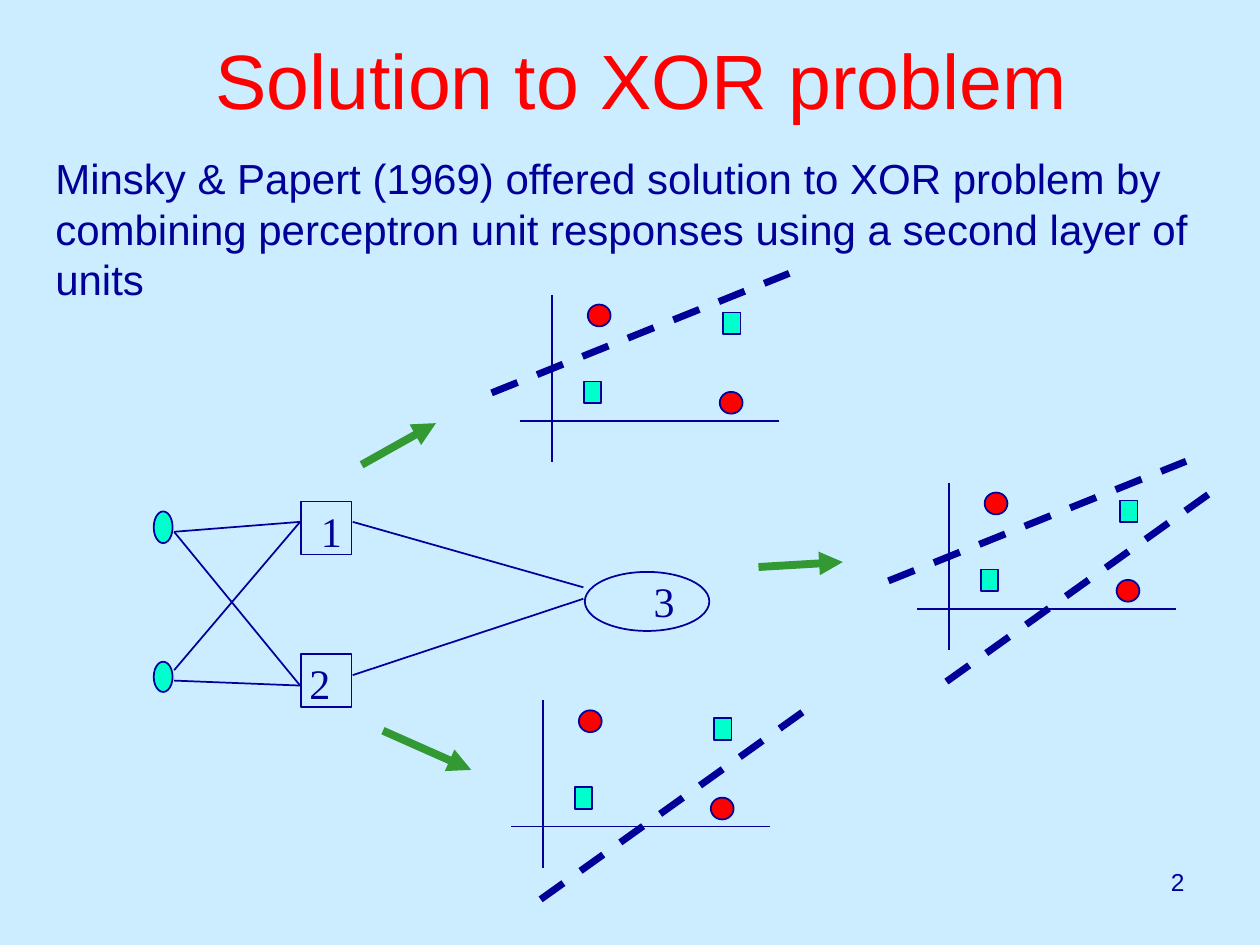
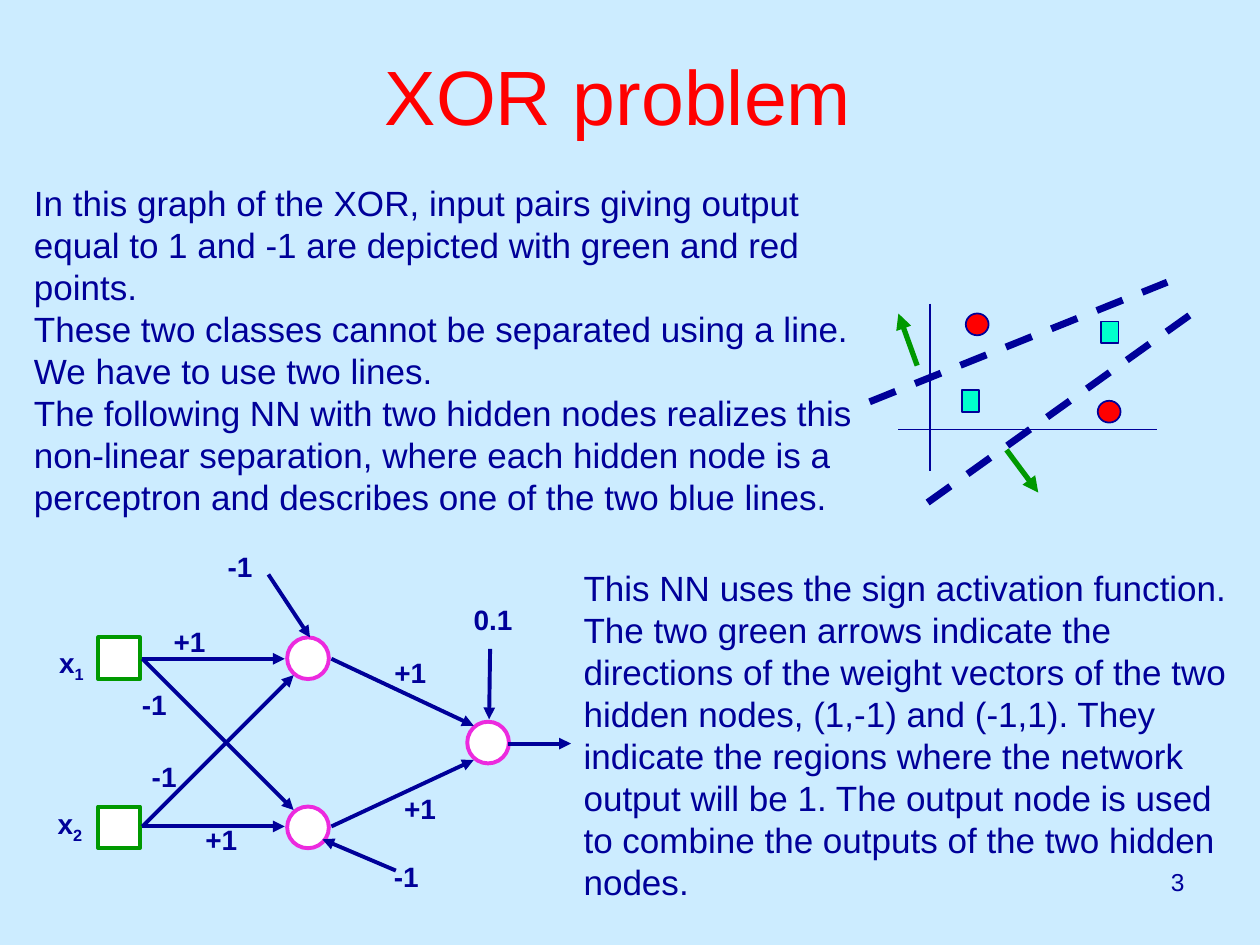
from lxml.etree import SubElement
from pptx import Presentation
from pptx.dml.color import RGBColor
from pptx.enum.dml import MSO_LINE
from pptx.enum.shapes import MSO_CONNECTOR, MSO_SHAPE
from pptx.enum.text import MSO_ANCHOR, MSO_AUTO_SIZE, PP_ALIGN
from pptx.oxml.ns import qn
from pptx.util import Cm, Pt

COLORS = {
    "sky": "CCECFF",
    "navy": "000099",
    "red": "FF0000",
    "mint": "00FFCC",
    "leaf": "339933",
    "green": "009900",
    "pink": "EC2ADE",
    "white": "FFFFFF",
}
RECT, OVAL = MSO_SHAPE.RECTANGLE, MSO_SHAPE.OVAL


def color(name):
    return RGBColor.from_string(COLORS[name])


def write(box, place, lines, size, ink="navy", font="Arial", bold=False,
          align=PP_ALIGN.LEFT, anchor=MSO_ANCHOR.TOP, wrap=True):
    box.left, box.top, box.width, box.height = [Cm(value) for value in place]
    frame = box.text_frame
    frame.text = "\n".join(lines)
    frame.word_wrap = wrap
    frame.auto_size = MSO_AUTO_SIZE.NONE
    frame.vertical_anchor = anchor
    for para in frame.paragraphs:
        para.alignment = align
        para.space_before = Pt(0)
        settings = para._p.get_or_add_pPr()
        settings.set("marL", "0")
        settings.set("indent", "0")
        SubElement(settings, qn("a:buNone"))
        for span in para.runs:
            span.font.size = Pt(size)
            span.font.name = font
            span.font.bold = bold
            span.font.color.rgb = color(ink)


deck = Presentation()
deck.slide_width, deck.slide_height = Cm(25.4), Cm(19.05)
background = deck.slide_master.background.fill
background.solid()
background.fore_color.rgb = color("sky")

solution = deck.slides.add_slide(deck.slide_layouts[1])
problem = deck.slides.add_slide(deck.slide_layouts[3])

titles = [
    (solution, "Solution to XOR problem", (1.51, 0, 22.86, 3.18)),
    (problem, "XOR problem", (1.25, 1.27, 22.43, 1.27)),
]
for number, (page, title, place) in enumerate(titles, start=2):
    write(page.shapes.title, place, [title], 44, "red",
          align=PP_ALIGN.CENTER, anchor=MSO_ANCHOR.MIDDLE)
    number_box = page.shapes.add_textbox(0, 0, 0, 0)
    write(number_box, (18.21, 17.35, 5.92, 1.32), [str(number)], 14, align=PP_ALIGN.RIGHT)

write(solution.placeholders[1], (0.86, 2.95, 23.57, 3.3), [
    "Minsky & Papert (1969) offered solution to XOR problem by",
    "combining perceptron unit responses using a second layer of",
    "units",
], 24)
write(problem.placeholders[1], (0.43, 3.53, 17.07, 7.04), [
    "In this graph of the XOR, input pairs giving output equal to 1 and -1 "
    "are depicted with green and red points.",
    "These two classes cannot be separated using a line. We have to use two lines.",
    "The following NN with two hidden nodes realizes this non-linear separation, "
    "where each hidden node is a perceptron and describes one of the two blue lines.",
], 20)
write(problem.placeholders[2], (11.51, 11.3, 13.49, 7.04), [
    "This NN uses the sign activation function. The two green arrows indicate the "
    "directions of the weight vectors of the two hidden nodes, (1,-1) and (-1,1). They",
    "indicate the regions where the network output will be 1. The output node is used "
    "to combine the outputs of the two hidden nodes.",
], 20)

nodes = [
    (solution, OVAL, 3.1, 10.31, 0.38, 0.64, "mint", "navy", 1),
    (solution, OVAL, 3.1, 13.34, 0.38, 0.61, "mint", "navy", 1),
    (solution, RECT, 6.07, 10.11, 1.02, 1.07, None, "navy", 1),
    (solution, RECT, 6.07, 13.18, 1.02, 1.07, None, "navy", 1),
    (solution, OVAL, 11.79, 11.53, 2.51, 1.19, None, "navy", 1),
    (problem, OVAL, 9.42, 14.55, 0.84, 0.84, "white", "pink", 2.25),
]
for top in (12.85, 16.26):
    nodes.append((problem, RECT, 1.98, top, 0.84, 0.84, "white", "green", 2.25))
    nodes.append((problem, OVAL, 5.79, top, 0.84, 0.84, "white", "pink", 2.25))

links = []
solution_links = [
    (3.51, 10.72, 6.05, 10.52),
    (3.51, 13.51, 6.05, 10.52),
    (3.51, 10.72, 6.05, 13.82),
    (3.51, 13.72, 6.05, 13.82),
    (7.11, 10.52, 11.76, 11.84),
    (7.11, 13.61, 11.76, 12.07),
]
solution_arrows = [
    (7.29, 9.37, 8.79, 8.53),
    (7.72, 14.73, 9.5, 15.52),
    (15.29, 11.43, 16.99, 11.33),
]
network_arrows = [
    (2.87, 13.28, 5.74, 13.28),
    (2.87, 13.28, 5.92, 16.33),
    (2.87, 16.66, 5.74, 16.66),
    (2.87, 16.66, 5.92, 13.61),
    (6.68, 13.28, 9.55, 14.63),
    (6.68, 16.66, 9.55, 15.32),
    (10.24, 14.99, 11.51, 14.99),
    (5.41, 11.58, 6.25, 12.85),
    (9.88, 13.08, 9.86, 14.5),
    (7.98, 17.55, 6.5, 16.92),
]
weight_arrows = [(18.49, 7.37, 18.11, 6.32), (20.29, 9.07, 20.93, 9.93)]
for page, group, ink, width, ending in [
    (solution, solution_links, "navy", 1, None),
    (solution, solution_arrows, "leaf", 4.5, "arrow"),
    (problem, network_arrows, "navy", 2.25, "arrow"),
    (problem, weight_arrows, "green", 3, "arrow"),
]:
    links += [(page, ends, ink, width, ending) for ends in group]

upper = (-1.22, -0.56, 4.78, -2.97)
lower = (-0.05, 1.47, 5.56, -2.54)
axes = [(0, -2.54, 0, 0.84), (-0.64, 0, 4.57, 0)]
points = [
    (RECT, 0.64, -0.79, 0.35, "mint"),
    (OVAL, 0.72, -2.34, 0.46, "red"),
    (RECT, 3.45, -2.18, 0.35, "mint"),
    (OVAL, 3.38, -0.58, 0.46, "red"),
]
plots = [
    (solution, 11.13, 8.48, [upper]),
    (solution, 10.95, 16.66, [lower]),
    (solution, 19.13, 12.27, [lower, upper]),
    (problem, 18.75, 8.66, [lower, upper]),
]
for page, x, y, borders in plots:
    for kind, across, down, width, fill in points:
        nodes.append((page, kind, x + across, y + down, width, 0.44, fill, "navy", 1))
    for group, width, ending in [(axes, 1, None), (borders, 4, "dash")]:
        for x1, y1, x2, y2 in group:
            links.append((page, (x + x1, y + y1, x + x2, y + y2), "navy", width, ending))

for page, kind, left, top, width, height, fill, outline, weight in nodes:
    node = page.shapes.add_shape(kind, Cm(left), Cm(top), Cm(width), Cm(height))
    node.shadow.inherit = False
    node.line.color.rgb = color(outline)
    node.line.width = Pt(weight)
    if fill:
        node.fill.solid()
        node.fill.fore_color.rgb = color(fill)
    else:
        node.fill.background()

for page, ends, ink, width, ending in links:
    link = page.shapes.add_connector(MSO_CONNECTOR.STRAIGHT, *[Cm(value) for value in ends])
    link.line.color.rgb = color(ink)
    link.line.width = Pt(width)
    properties = link._element.spPr
    if ending == "dash":
        link.line.dash_style = MSO_LINE.DASH
    if ending == "arrow":
        SubElement(properties.find(qn("a:ln")), qn("a:tailEnd"), type="triangle")
    SubElement(properties, qn("a:effectLst"))

unit_style = {"size": 24, "font": "Times New Roman"}
weight_style = {"size": 16, "bold": True}
labels = [
    (solution, unit_style, [
        ("1", "", 6.68, 10.69), ("2", "", 6.45, 13.77), ("3", "", 13.39, 12.11),
    ]),
    (problem, weight_style, [
        ("x", "1", 1.44, 13.4), ("x", "2", 1.41, 16.65),
        ("+1", "", 3.82, 12.92), ("+1", "", 4.46, 16.93),
        ("+1", "", 8.47, 16.29), ("+1", "", 8.27, 13.55),
        ("-1", "", 3.11, 14.19), ("-1", "", 3.31, 15.66),
        ("-1", "", 4.84, 11.42), ("-1", "", 8.19, 17.67),
        ("0.1", "", 9.94, 12.48),
    ]),
]
for page, style, group in labels:
    for text, subscript, x, y in group:
        box = page.shapes.add_textbox(0, 0, 0, 0)
        write(box, (x - 0.6, y - 0.5, 1.2, 1), [text], align=PP_ALIGN.CENTER,
              anchor=MSO_ANCHOR.MIDDLE, wrap=False, **style)
        if subscript:
            span = box.text_frame.paragraphs[0].add_run()
            span.text = subscript
            span.font.size = Pt(16)
            span.font.name = "Arial"
            span.font.bold = True
            span.font.color.rgb = color("navy")
            span._r.get_or_add_rPr().set("baseline", "-25000")

deck.save("out.pptx")
